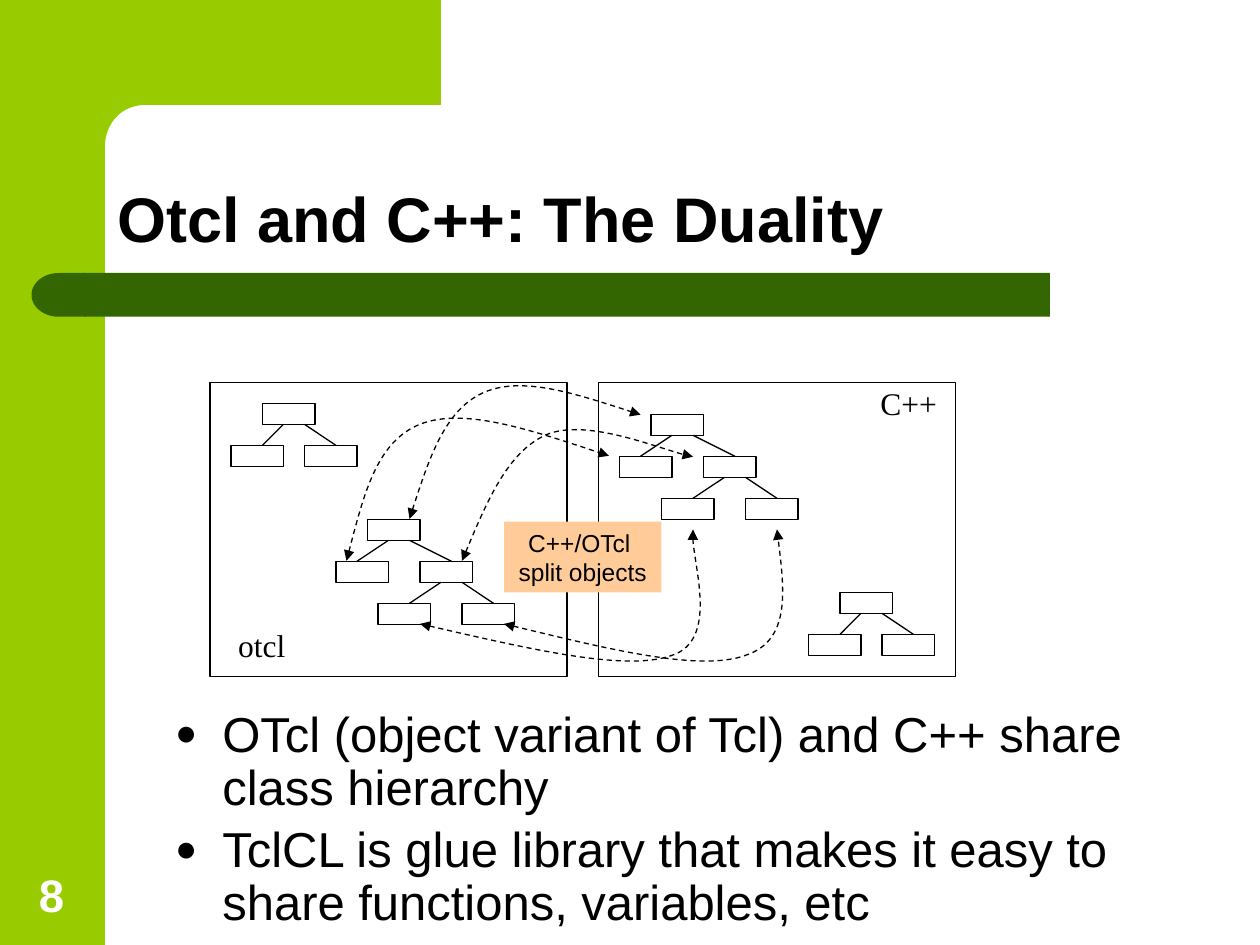
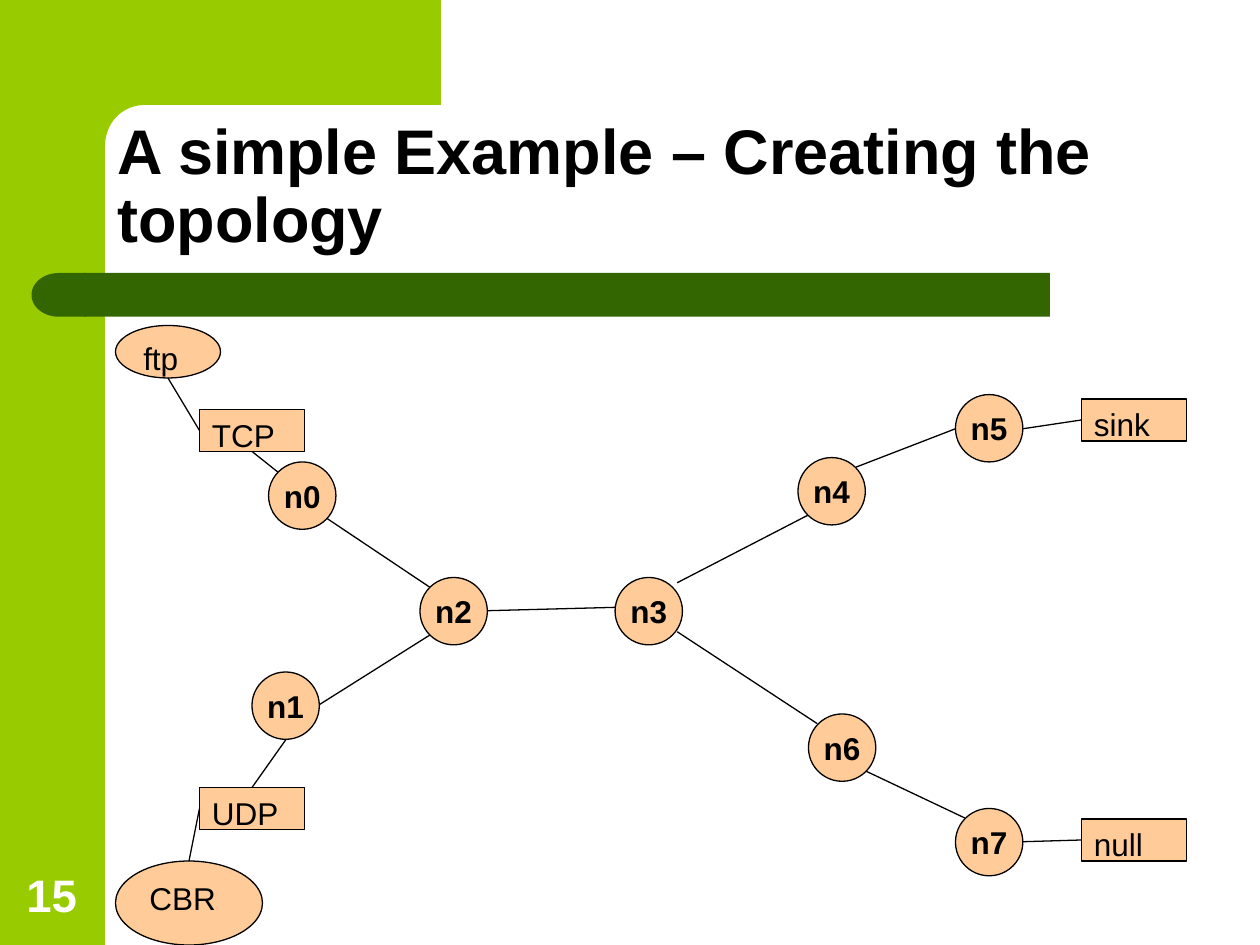
from lxml.etree import SubElement
from pptx import Presentation
from pptx.dml.color import RGBColor
from pptx.enum.dml import MSO_LINE
from pptx.enum.shapes import MSO_CONNECTOR, MSO_SHAPE
from pptx.enum.text import MSO_ANCHOR, PP_ALIGN
from pptx.oxml.ns import qn
from pptx.shapes.connector import Connector
from pptx.util import Pt

LIME = RGBColor(0x99, 0xCC, 0x00)
FOREST = RGBColor(0x33, 0x66, 0x00)
PEACH = RGBColor(0xFF, 0xCC, 0x99)
BLACK = RGBColor(0, 0, 0)
WHITE = RGBColor(0xFF, 0xFF, 0xFF)
THIN = Pt(0.75)


def add_block(slide, kind, box, lines=(), fill=None, outlined=False, size=18, bold=False,
              font="Arial", color=BLACK, align=PP_ALIGN.LEFT, anchor=MSO_ANCHOR.TOP, wrap=True):
    """Add a preset shape, or a text box when kind is None, with one paragraph per line."""
    place = [Pt(value) for value in box]
    if kind is None:
        block = slide.shapes.add_textbox(*place)
    else:
        block = slide.shapes.add_shape(kind, *place)
    if fill is None:
        block.fill.background()
    else:
        block.fill.solid()
        block.fill.fore_color.rgb = fill
    if outlined:
        block.line.color.rgb = BLACK
        block.line.width = THIN
    else:
        block.line.fill.background()
    frame = block.text_frame
    frame.word_wrap = wrap
    frame.vertical_anchor = anchor
    for number, line in enumerate(lines):
        paragraph = frame.add_paragraph() if number else frame.paragraphs[0]
        paragraph.text = line
        paragraph.alignment = align
        paragraph.font.name = font
        paragraph.font.size = Pt(size)
        paragraph.font.bold = bold
        paragraph.font.color.rgb = color
    return block


def add_curved_outline(slide, segments, close=False):
    """Draw segments of one point (line) or three points (cubic curve); the first is the start."""
    points = [point for segment in segments for point in segment]
    (start_x, start_y), *others = [(Pt(x), Pt(y)) for x, y in points]
    builder = slide.shapes.build_freeform(start_x, start_y)
    builder.add_line_segments(others, close=close)
    outline = builder.convert_to_shape()
    line_steps = list(outline._element.iter(qn("a:lnTo")))
    for segment in segments[1:]:
        steps, line_steps = line_steps[:len(segment)], line_steps[len(segment):]
        if len(segment) == 3:
            steps[0].tag = qn("a:cubicBezTo")
            for step in steps[1:]:
                steps[0].append(step[0])
                step.getparent().remove(step)
    return outline


deck = Presentation()
deck.slide_width = Pt(720)
deck.slide_height = Pt(540)

# Shared frame, title and page number
slides = []
for page, title in [("8", "Otcl and C++: The Duality"),
                    ("15", "A simple Example – Creating the topology")]:
    slide = deck.slides.add_slide(deck.slide_layouts[6])
    slides.append(slide)
    add_block(slide, MSO_SHAPE.RECTANGLE, (0, 0, 60, 540), fill=LIME)
    corner = add_curved_outline(slide, [
        [(252, 0)], [(252, 60)], [(83, 60)], [(70, 60), (60, 70), (60, 84)],
        [(60, 92)], [(36, 92)], [(36, 0)]], close=True)
    corner.fill.solid()
    corner.fill.fore_color.rgb = LIME
    corner.line.fill.background()
    add_block(slide, MSO_SHAPE.RECTANGLE, (48, 156, 552, 25), fill=FOREST)
    band_end = add_block(slide, MSO_SHAPE.FLOWCHART_DELAY, (18, 156, 31, 25), fill=FOREST)
    band_end.rotation = 180
    add_block(slide, None, (6.5, 492, 46, 38), [page], size=26, bold=True, color=WHITE,
              align=PP_ALIGN.CENTER, anchor=MSO_ANCHOR.BOTTOM)
    heading = add_block(slide, None, (60, 60, 624, 90), [title], size=36, bold=True,
                        anchor=MSO_ANCHOR.BOTTOM)
    heading.text_frame.paragraphs[0].line_spacing = 0.9
duality, topology = slides

# Duality: bullet points
points = add_block(duality, None, (93, 402, 612, 132), [
    "OTcl (object variant of Tcl) and C++ share class hierarchy",
    "TclCL is glue library that makes it easy to share functions, variables, etc"], size=28)
for paragraph in points.text_frame.paragraphs:
    paragraph.line_spacing = 0.9
    paragraph.space_before = Pt(5.6)
    properties = paragraph._p.get_or_add_pPr()
    properties.set("marL", str(Pt(27)))
    properties.set("indent", str(-Pt(27)))
    font_defaults = properties.find(qn("a:defRPr"))
    for tag, key, value in [("a:buSzPct", "val", "75000"), ("a:buFont", "typeface", "Arial"),
                            ("a:buChar", "char", "●")]:
        bullet = SubElement(properties, qn(tag))
        bullet.set(key, value)
        font_defaults.addprevious(bullet)

# Duality: class trees in the two language panels
for panel_left in (120, 342):
    add_block(duality, MSO_SHAPE.RECTANGLE, (panel_left, 218.5, 204, 168), outlined=True)

# Each branch: parent index, child offset from parent, line end within child
SMALL_TREE = [(0, -18, 18), (0, 24, 18)]
LARGE_TREE = [(0, -18, 12), (0, 30, 18), (2, -24, 18), (2, 24, 18)]
for root_left, root_top, branches in [(150, 230.5, SMALL_TREE), (210, 296.75, LARGE_TREE),
                                      (480, 338.5, SMALL_TREE), (372, 236.75, LARGE_TREE)]:
    classes = [(root_left, root_top)]
    for parent, offset, line_end in branches:
        parent_left, parent_top = classes[parent]
        left, top = parent_left + offset, parent_top + 24
        classes.append((left, top))
        line_start = parent_left + (12 if offset < 0 else 24)
        duality.shapes.add_connector(MSO_CONNECTOR.STRAIGHT, Pt(line_start), Pt(parent_top + 12),
                                     Pt(left + line_end), Pt(top))
    for left, top in classes:
        add_block(duality, MSO_SHAPE.RECTANGLE, (left, top, 30, 12), outlined=True)

for language, left, top in [("C++", 496, 216), ("otcl", 129, 354)]:
    add_block(duality, None, (left, top, 54, 29), [language], font="Times New Roman")

# Duality: dashed arcs between paired classes
for arc in [
    [[(264, 320.5)], [(277, 289.5), (290, 258.5), (312, 248.5)],
     [(334, 239), (382, 258.5), (396, 261)]],
    [[(240, 356.5)], [(299, 370), (358, 384), (384, 374.5)],
     [(410, 366), (394, 315), (396, 302.5)]],
    [[(288, 356.5)], [(344, 370), (400, 384), (426, 374.5)],
     [(452, 366), (448, 334), (444, 302.5)]],
    [[(198, 320.5)], [(207, 286.5), (215, 252.5), (240, 242.5)],
     [(265, 232.5), (307, 247), (348, 260.5)]],
    [[(234, 296.5)], [(244, 265.5), (254, 234.5), (276, 224.5)],
     [(298, 214.5), (332, 226), (366, 237)]],
]:
    pairing = add_curved_outline(duality, arc)
    pairing.fill.background()
    pairing.line.color.rgb = BLACK
    pairing.line.width = THIN
    pairing.line.dash_style = MSO_LINE.DASH
    for end in ("a:headEnd", "a:tailEnd"):
        SubElement(pairing.line._get_or_add_ln(), qn(end)).set("type", "triangle")

add_block(duality, MSO_SHAPE.RECTANGLE, (288, 298, 90, 40.5), ["C++/OTcl ", "split objects"],
          fill=PEACH, size=14, align=PP_ALIGN.CENTER)

# Topology: links between nodes, then agents, applications and nodes
for x1, y1, x2, y2 in [(182, 293, 245.5, 335.5), (182, 403, 245.5, 363),
                       (278.5, 349, 354, 347), (387, 333, 461.5, 294.5),
                       (387, 361, 467, 413.5), (489, 267, 546, 245),
                       (494.5, 440.5, 551.5, 467.5)]:
    topology.shapes.add_connector(MSO_CONNECTOR.STRAIGHT, Pt(x1), Pt(y1), Pt(x2), Pt(y2))

agents = {}
for agent, left, top in [("TCP", 114, 234), ("UDP", 114, 450),
                         ("sink", 618, 228), ("null", 618, 468)]:
    agents[agent] = add_block(topology, MSO_SHAPE.RECTANGLE, (left, top, 60, 24), [agent],
                              fill=PEACH, outlined=True)

for application, box in [("ftp", (66, 186, 60, 30)), ("CBR", (66, 492, 84, 48))]:
    add_block(topology, MSO_SHAPE.OVAL, box, [application], fill=PEACH, outlined=True)

for agent, side, x, y in [("TCP", 1, 96, 216), ("TCP", 2, 163.5, 273.5),
                          ("UDP", 0, 163.5, 422.5), ("UDP", 1, 108, 492),
                          ("sink", 1, 584.5, 245), ("null", 1, 584.5, 481)]:
    link = topology.shapes.add_connector(MSO_CONNECTOR.STRAIGHT, Pt(x), Pt(y), Pt(x), Pt(y))
    link.end_connect(agents[agent], side)

for number, (left, top) in enumerate([(153.5, 264), (144, 384), (240, 330), (351.5, 330),
                                      (456, 261.5), (546, 225.5), (462, 408), (546, 462)]):
    add_block(topology, MSO_SHAPE.OVAL, (left, top, 38.5, 38.5), [f"n{number}"], fill=PEACH,
              outlined=True, bold=True, align=PP_ALIGN.CENTER, anchor=MSO_ANCHOR.MIDDLE, wrap=False)

# Plain black connectors and no shadows anywhere
for slide in slides:
    for shape in slide.shapes:
        if isinstance(shape, Connector):
            shape.line.color.rgb = BLACK
            shape.line.width = THIN
            SubElement(shape._element.spPr, qn("a:effectLst"))
        else:
            shape.shadow.inherit = False

deck.save("out.pptx")
